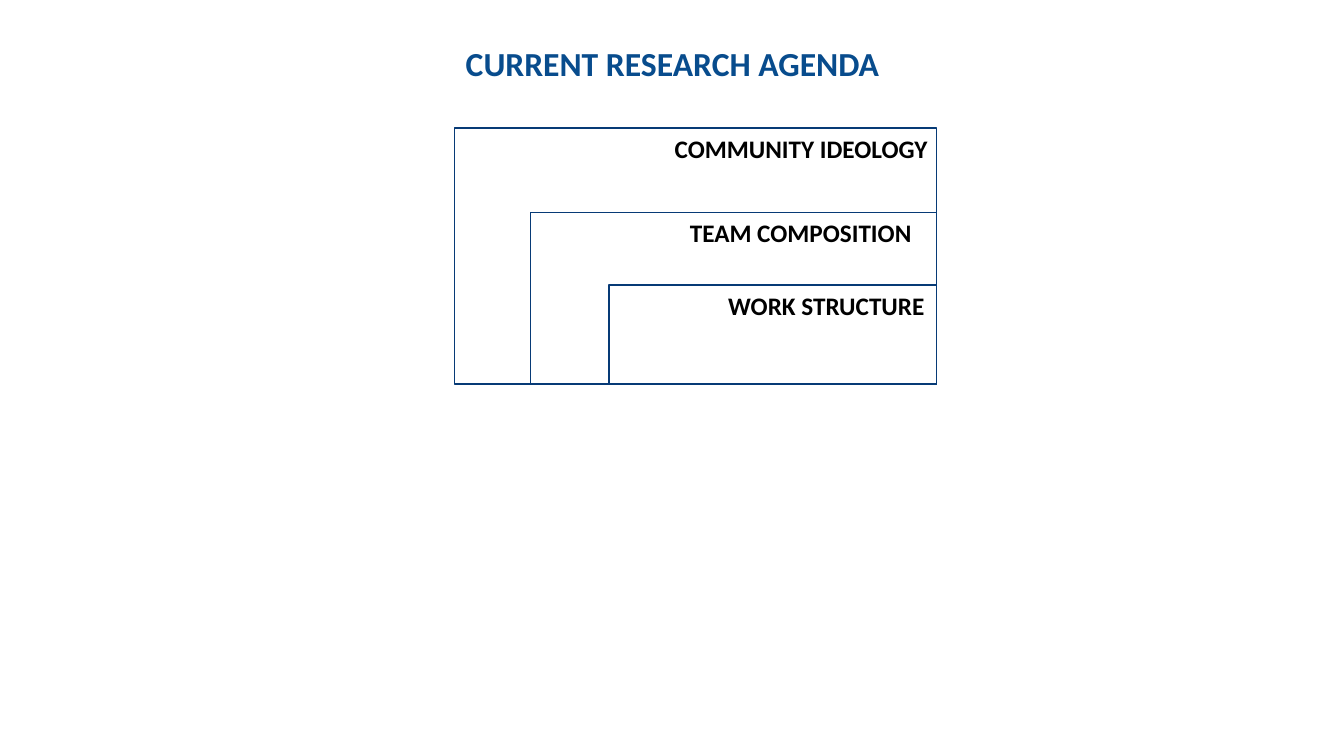
from dataclasses import dataclass
from pptx import Presentation
from pptx.dml.color import RGBColor
from pptx.enum.shapes import MSO_SHAPE
from pptx.enum.text import MSO_ANCHOR, PP_ALIGN
from pptx.util import Inches, Pt

RECT = MSO_SHAPE.RECTANGLE
TOP = MSO_ANCHOR.TOP
CENTER, RIGHT = PP_ALIGN.CENTER, PP_ALIGN.RIGHT


@dataclass(frozen=True)
class Theme:
    """Colours, font and type sizes."""
    font: str = "Calibri"
    title: str = "084C8D"
    line: str = "073A76"
    ink: str = "000000"
    head: int = 24
    body: int = 18


THEME = Theme()
WIDE, HIGH = 13.33, 7.5
LEVELS = [
    ("WORK STRUCTURE", 0.32, 0.614, 0.12),
    ("TEAM COMPOSITION", 0.157, 0.33, 0.25),
    ("COMMUNITY IDEOLOGY", 0, 0, 0.09),
]


def write(shape, text, size, color, align, left=0.1, right=0.1):
    """Put one bold line of text into a shape."""
    frame = shape.text_frame
    frame.word_wrap = True
    frame.vertical_anchor = TOP
    frame.margin_left, frame.margin_right = Inches(left), Inches(right)
    frame.margin_top = frame.margin_bottom = Inches(0.05)
    para = frame.paragraphs[0]
    para.alignment = align
    run = para.add_run()
    run.text = text
    font = run.font
    font.name, font.size, font.bold = THEME.font, Pt(size), True
    font.color.rgb = RGBColor.from_string(color)


def add_title(slide, box):
    """Place the slide title in the box."""
    shape = slide.shapes.add_textbox(*map(Inches, box))
    write(shape, "CURRENT RESEARCH AGENDA", THEME.head, THEME.title, CENTER)


def add_nest(slide, box):
    """Draw nested levels that share the box's lower right corner."""
    left, top, width, height = box
    for text, across, down, inset in LEVELS:
        place = (left + across * width, top + down * height,
                 width * (1 - across), height * (1 - down))
        shape = slide.shapes.add_shape(RECT, *map(Inches, place))
        shape.shadow.inherit = False
        shape.fill.background()
        shape.line.color.rgb = RGBColor.from_string(THEME.line)
        shape.line.width = Pt(1)
        write(shape, text, THEME.body, THEME.ink, RIGHT, left=0, right=inset)


def main():
    """Build and save the slide."""
    deck = Presentation()
    deck.slide_width, deck.slide_height = Inches(WIDE), Inches(HIGH)
    slide = deck.slides.add_slide(deck.slide_layouts[6])
    add_title(slide, (2.17, 0.38, 9, 0.77))
    add_nest(slide, (4.51, 1.27, 4.78, 2.54))
    deck.save("out.pptx")


if __name__ == "__main__":
    main()
